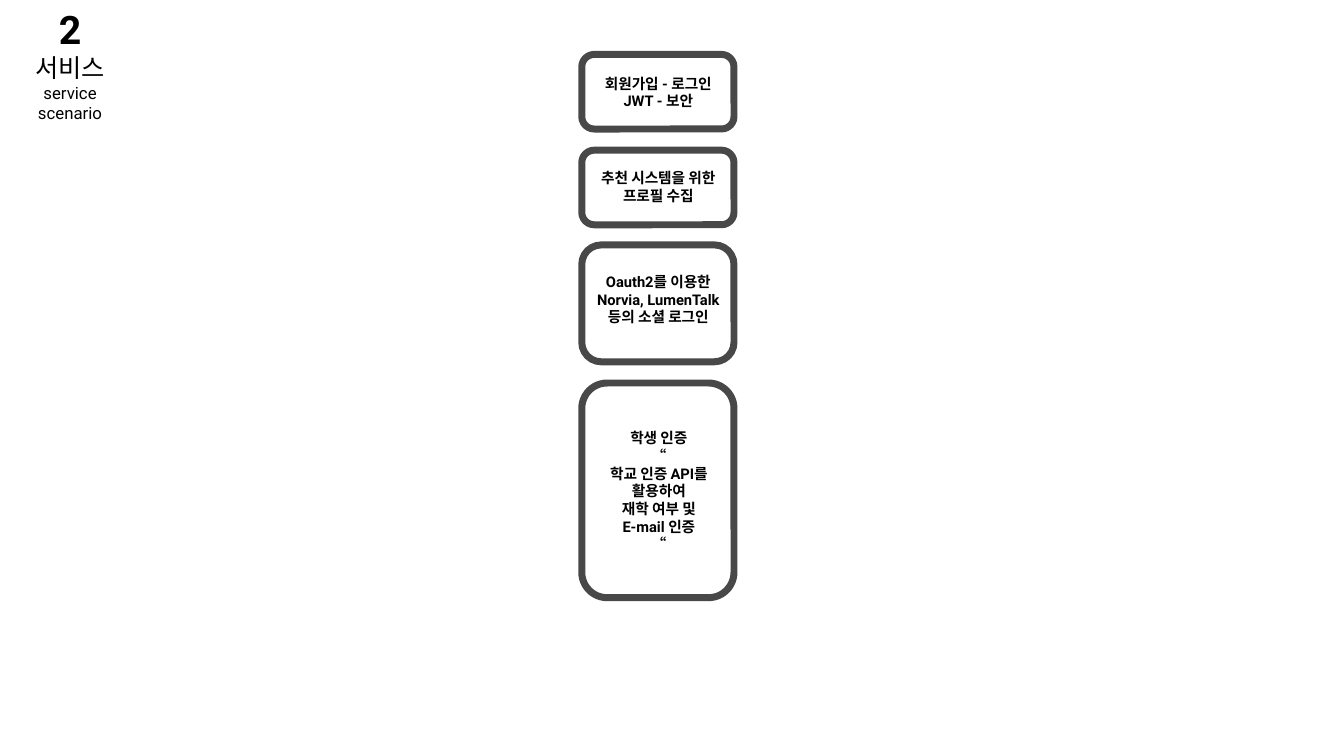
from dataclasses import dataclass

from pptx import Presentation
from pptx.dml.color import RGBColor
from pptx.enum.shapes import MSO_SHAPE
from pptx.enum.text import MSO_ANCHOR, MSO_AUTO_SIZE, PP_ALIGN
from pptx.slide import Slide
from pptx.text.text import TextFrame
from pptx.util import Emu, Pt

EMU_PER_PX = 9144  # 100 px to the inch
FONT = "Roboto"
COLORS = {"text": "000000", "border": "484848"}
CARD_LEFT, CARD_WIDTH = 577, 151


@dataclass(frozen=True)
class Line:
    text: str
    size: float
    bold: bool


@dataclass(frozen=True)
class Card:
    top: int
    height: int
    text: str
    text_box: tuple[int, int, int, int]
    wrap: bool = False


HEADING = [
    Line("2", 28, True),
    Line("서비스", 18, False),
    Line("service scenario", 12, False),
]

CARDS = [
    Card(54, 74, "회원가입 - 로그인\nJWT - 보안", (586, 69, 134, 45)),
    Card(149, 74, "추천 시스템을 위한\n프로필 수집", (581, 163, 144, 45)),
    Card(243, 116, "Oauth2를 이용한\nNorvia, LumenTalk\n등의 소셜 로그인",
         (581, 266, 144, 99)),
    Card(380, 213,
         "학생 인증\n“\n학교 인증 API를\n활용하여\n재학 여부 및\nE-mail 인증\n“",
         (592, 421, 123, 134), wrap=True),
]


def px(length: int) -> Emu:
    return Emu(length * EMU_PER_PX)


def color(name: str) -> RGBColor:
    return RGBColor.from_string(COLORS[name])


def write_lines(frame: TextFrame, lines: list[Line], wrap: bool) -> None:
    frame.word_wrap = wrap
    frame.auto_size = MSO_AUTO_SIZE.NONE
    frame.vertical_anchor = MSO_ANCHOR.TOP
    for index, line in enumerate(lines):
        para = frame.add_paragraph() if index else frame.paragraphs[0]
        para.text = line.text
        para.alignment = PP_ALIGN.CENTER
        para.font.name = FONT
        para.font.size = Pt(line.size)
        para.font.bold = line.bold
        para.font.color.rgb = color("text")


def draw_heading(page: Slide) -> None:
    title = page.shapes.title
    title.left, title.top, title.width, title.height = map(px, (0, 0, 139, 108))
    write_lines(title.text_frame, HEADING, wrap=True)


def draw_card(page: Slide, card: Card) -> None:
    group = page.shapes.add_group_shape()
    frame = group.shapes.add_shape(
        MSO_SHAPE.ROUNDED_RECTANGLE,
        px(CARD_LEFT), px(card.top), px(CARD_WIDTH), px(card.height))
    frame.shadow.inherit = False
    frame.fill.background()
    frame.line.color.rgb = color("border")
    frame.line.width = Pt(5)
    box = group.shapes.add_textbox(*map(px, card.text_box))
    write_lines(box.text_frame, [Line(card.text, 10.5, True)], card.wrap)


def main() -> None:
    deck = Presentation()
    deck.slide_width, deck.slide_height = px(1333), px(750)
    page = deck.slides.add_slide(deck.slide_layouts[5])

    # Section heading
    draw_heading(page)

    # Column of scenario steps
    for card in CARDS:
        draw_card(page, card)

    deck.save("out.pptx")


if __name__ == "__main__":
    main()
